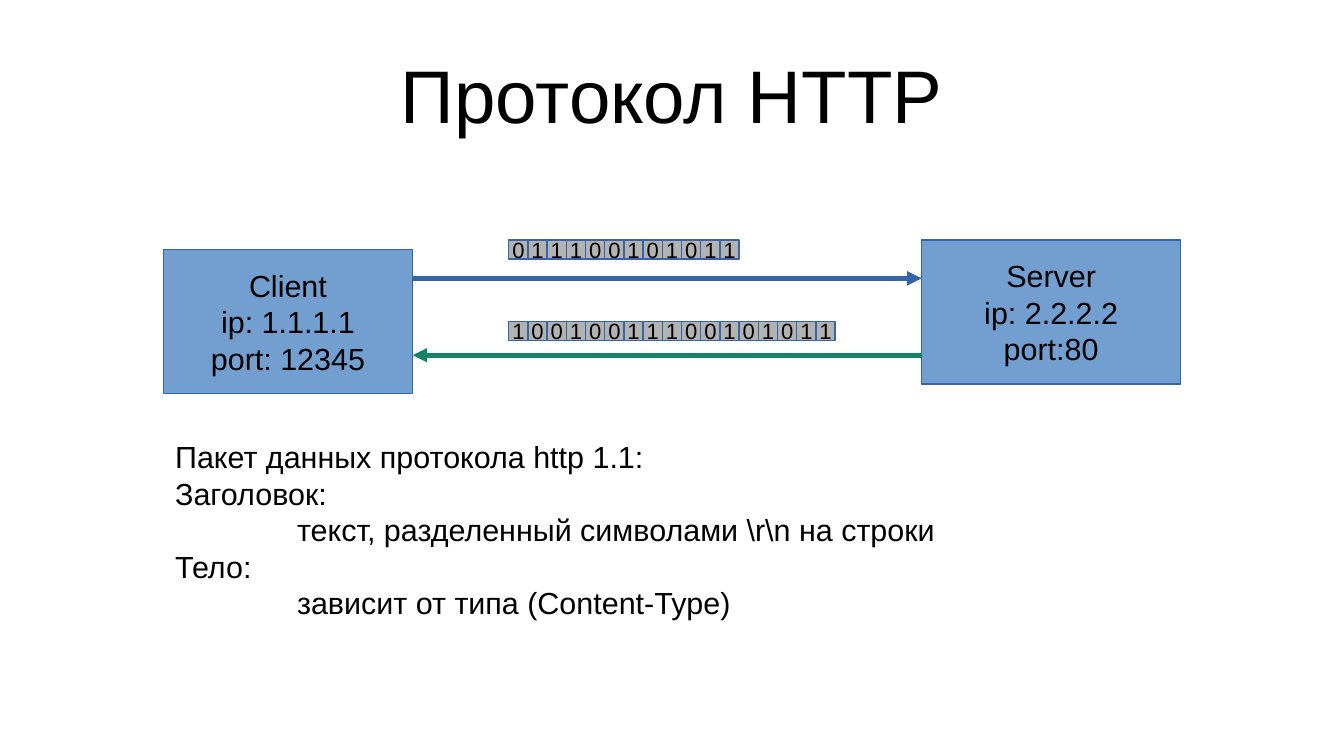
from dataclasses import dataclass

from lxml import etree
from pptx import Presentation
from pptx.dml.color import RGBColor
from pptx.enum.shapes import MSO_CONNECTOR, MSO_SHAPE
from pptx.enum.text import MSO_ANCHOR, PP_ALIGN
from pptx.oxml.ns import qn
from pptx.util import Cm, Pt

RECT = MSO_SHAPE.RECTANGLE
LINE = MSO_CONNECTOR.STRAIGHT
MIDDLE, TOP = MSO_ANCHOR.MIDDLE, MSO_ANCHOR.TOP
CENTER, LEFT = PP_ALIGN.CENTER, PP_ALIGN.LEFT


@dataclass(frozen=True)
class Theme:
    font: str = "Arial"
    ink: str = "000000"
    host: str = "729FCF"
    bit: str = "B2B2B2"
    edge: str = "3465A4"
    reply: str = "158466"
    title: float = 44
    body: float = 18
    small: float = 13
    thin: float = 0.75
    thick: float = 2.83


def apply(target, values):
    for name, value in values.items():
        setattr(target, name, value)


class Canvas:
    def __init__(self, slide, theme):
        self.slide = slide
        self.theme = theme

    def label(self, shape, lines, size, align=CENTER, **frame):
        """Fill a shape with lines; a leading tab indents a line by one step."""
        apply(shape.text_frame, frame)
        shape.text_frame.text = "\n".join(line.strip() for line in lines)
        font = {"name": self.theme.font, "size": Pt(size)}
        for line, para in zip(lines, shape.text_frame.paragraphs):
            para.alignment = align
            if line.startswith("\t"):
                para._p.get_or_add_pPr().set("marL", str(Cm(2.54)))
            for run in para.runs:
                apply(run.font, font)
                run.font.color.rgb = RGBColor.from_string(self.theme.ink)

    def text(self, area, lines, size, **style):
        shape = self.slide.shapes.add_textbox(*map(Cm, area))
        self.label(shape, lines, size, word_wrap=True, **style)

    def box(self, area, lines, fill, size):
        shape = self.slide.shapes.add_shape(RECT, *map(Cm, area))
        shape.shadow.inherit = False
        shape.fill.solid()
        shape.fill.fore_color.rgb = RGBColor.from_string(fill)
        shape.line.color.rgb = RGBColor.from_string(self.theme.edge)
        shape.line.width = Pt(self.theme.thin)
        self.label(shape, lines, size, word_wrap=False, vertical_anchor=MIDDLE)

    def arrow(self, start, end, y, color):
        line = self.slide.shapes.add_connector(
            LINE, Cm(start), Cm(y), Cm(end), Cm(y))
        line.line.color.rgb = RGBColor.from_string(color)
        line.line.width = Pt(self.theme.thick)
        props = line.element.spPr
        etree.SubElement(props.find(qn("a:ln")), qn("a:tailEnd"), type="triangle")
        etree.SubElement(props, qn("a:effectLst"))

    def bits(self, left, top, digits, side=0.4):
        for i, digit in enumerate(digits):
            self.box((left + i * side, top, side, side), [digit],
                     self.theme.bit, self.theme.small)


def main():
    deck = Presentation()
    apply(deck, {"slide_width": Cm(28), "slide_height": Cm(15.75)})
    theme = Theme()
    page = Canvas(deck.slides.add_slide(deck.slide_layouts[6]), theme)

    margins = ("margin_left", "margin_top", "margin_right", "margin_bottom")
    page.text((1.4, 0.63, 25.2, 2.63), ["Протокол HTTP"], theme.title,
              vertical_anchor=MIDDLE, **dict.fromkeys(margins, 0))

    client, server = 8.6, 19.2
    page.box((3.4, 5.2, 5.2, 3), ["Client", "ip: 1.1.1.1", "port: 12345"],
             theme.host, theme.body)
    page.box((server, 5, 5.4, 3), ["Server", "ip: 2.2.2.2", "port:80"],
             theme.host, theme.body)

    page.arrow(client, server, 5.8, theme.edge)
    page.arrow(server, client, 7.4, theme.reply)
    page.bits(10.6, 5, "011100101011")
    page.bits(10.6, 6.7, "10010011100101011")

    page.text((3.4, 9, 21.2, 3.8), [
        "Пакет данных протокола http 1.1:",
        "Заголовок:",
        "\tтекст, разделенный символами \\r\\n на строки",
        "Тело:",
        "\tзависит от типа (Content-Type)",
    ], theme.body, align=LEFT, vertical_anchor=TOP)

    deck.save("out.pptx")


if __name__ == "__main__":
    main()
